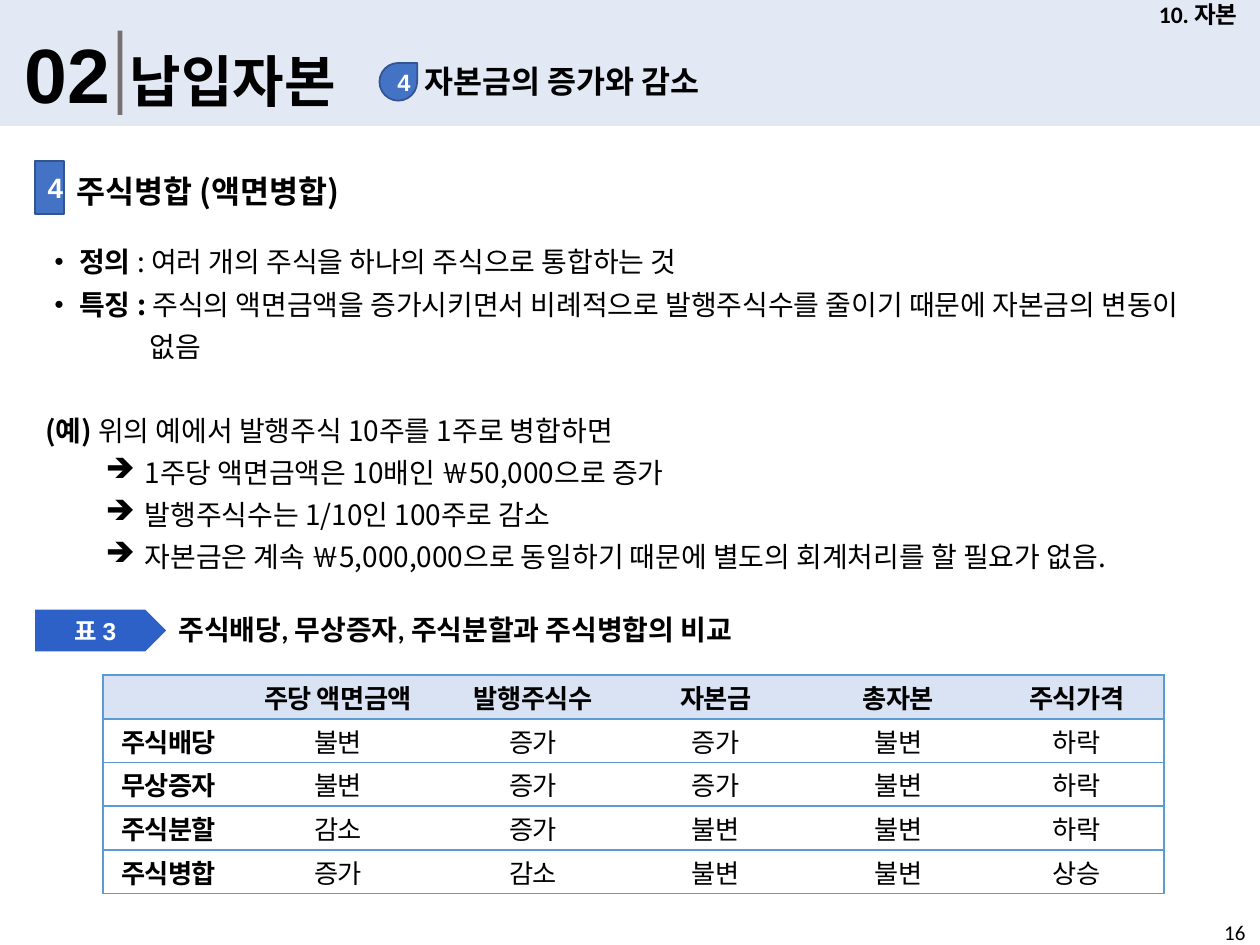
from lxml.etree import SubElement
from pptx import Presentation
from pptx.dml.color import RGBColor
from pptx.enum.shapes import MSO_SHAPE
from pptx.enum.text import MSO_ANCHOR, MSO_AUTO_SIZE, PP_ALIGN
from pptx.oxml.ns import qn
from pptx.util import Cm, Pt

BLACK, WHITE, PALE, BLUE = "000000", "FFFFFF", "DAE3F3", "4472C4"
EDGE, GRID, SIGN, GRAY = "325491", "5B9BD5", "2D61C8", "767171"
KOREAN = "Noto Sans CJK KR"

LABELS = [
    ("02", (0.25, 0.41, 2.31, 2.13), 44, "Arial", True),
    ("자본금의 증가와 감소", (8.31, 1.12, 10.24, 1.02), 18, "Calibri", True),
    ("16", (24.43, 18.42, 0.97, 1.02), 12, "Calibri", False),
    ("주식병합 (액면병합)", (1.3, 3.35, 10.44, 1.52), 18, KOREAN, True),
    ("주식배당, 무상증자, 주식분할과 주식병합의 비교", (3.35, 12.22, 17.15, 0.94), 16, "Calibri", True),
]
BADGES = [
    (MSO_SHAPE.TEAR, (7.65, 1.27, 0.76, 0.76), BLUE, EDGE, [("4", 13.5, "Arial")]),
    (MSO_SHAPE.RECTANGLE, (0.71, 3.25, 0.58, 1.07), BLUE, EDGE, [("4", 16, "Arial")]),
    (MSO_SHAPE.PENTAGON, (0.71, 12.29, 2.64, 0.84), SIGN, None,
     [("표 ", 14, "Calibri"), ("3", 14, "Arial")]),
]
BODY = [
    ("hanging", "• 정의 ", ": 여러 개의 주식을 하나의 주식으로 통합하는 것"),
    ("hanging", "• 특징 : ", "주식의 액면금액을 증가시키면서 비례적으로 발행주식수를 줄이기 때문에 자본금의 변동이 없음"),
    ("example", "(예) ", "위의 예에서 발행주식 10주를 1주로 병합하면"),
    ("arrow", "", "1주당 액면금액은 10배인 ￦50,000으로 증가"),
    ("arrow", "", "발행주식수는 1/10인 100주로 감소"),
    ("arrow", "", "자본금은 계속 ￦5,000,000으로 동일하기 때문에 별도의 회계처리를 할 필요가 없음."),
]
INDENTS = {"hanging": (2.11, -2.11), "arrow": (2.01, -0.79)}
COMPARISON = [
    ("", "주당 액면금액", "발행주식수", "자본금", "총자본", "주식가격"),
    ("주식배당", "불변", "증가", "증가", "불변", "하락"),
    ("무상증자", "불변", "증가", "증가", "불변", "하락"),
    ("주식분할", "감소", "증가", "불변", "불변", "하락"),
    ("주식병합", "증가", "감소", "불변", "불변", "상승"),
]
COLUMN_WIDTHS = [2.64, 4.19, 3.68, 3.68, 3.68, 3.51]
ROW_HEIGHT = 0.88


def paint(color_format, color):
    color_format.rgb = RGBColor.from_string(color)


def add_run(paragraph, text, size, font, bold, color=BLACK):
    run = paragraph.add_run()
    run.text = text
    run.font.size, run.font.name, run.font.bold = Pt(size), font, bold
    paint(run.font.color, color)
    return run


def add_block(slide, preset, place, fill, edge=None):
    block = slide.shapes.add_shape(preset, *map(Cm, place))
    block.shadow.inherit = False
    block.fill.solid()
    paint(block.fill.fore_color, fill)
    if edge:
        paint(block.line.color, edge)
        block.line.width = Pt(1)
    else:
        block.line.fill.background()
    return block


def add_frame(slide, place):
    frame = slide.shapes.add_textbox(*map(Cm, place)).text_frame
    frame.word_wrap = True
    return frame


def add_header(slide):
    band = add_block(slide, MSO_SHAPE.RECTANGLE, (0, 0, 25.4, 2.54), PALE)
    tint = band.fill._xPr.find(".//" + qn("a:srgbClr"))
    SubElement(tint, qn("a:alpha"), val="76000")
    title = slide.shapes.title
    band._element.addnext(title._element)
    title.left, title.top, title.width, title.height = map(Cm, (2.36, 0.81, 11.15, 1.63))
    frame = title.text_frame
    frame.auto_size, frame.vertical_anchor = MSO_AUTO_SIZE.NONE, MSO_ANCHOR.TOP
    frame.paragraphs[0].alignment = PP_ALIGN.LEFT
    add_run(frame.paragraphs[0], "납입자본", 32, "Calibri", True)
    add_block(slide, MSO_SHAPE.RECTANGLE, (2.37, 0.62, 0.1, 1.7), GRAY)
    chapter = add_frame(slide, (22.91, 0, 2.49, 0.58))
    chapter.vertical_anchor = MSO_ANCHOR.MIDDLE
    chapter.paragraphs[0].alignment = PP_ALIGN.CENTER
    add_run(chapter.paragraphs[0], "10. 자본", 13.5, "Calibri", True)


def add_body(slide):
    frame = add_frame(slide, (0.71, 4.67, 24, 6.76))
    frame.margin_left = frame.margin_right = Cm(0.2)
    frame.margin_top = frame.margin_bottom = Cm(0.1)
    for index, (kind, lead, text) in enumerate(BODY):
        paragraph = frame.add_paragraph() if index else frame.paragraphs[0]
        properties = paragraph._p.get_or_add_pPr()
        if kind in INDENTS:
            margin, indent = INDENTS[kind]
            properties.set("marL", str(Cm(margin)))
            properties.set("indent", str(Cm(indent)))
        if kind == "arrow":
            SubElement(properties, qn("a:buChar"), char="➔")
        paragraph.line_spacing = Pt(24)
        if kind == "example":
            paragraph.space_before = Pt(24)
        if lead:
            add_run(paragraph, lead, 16, KOREAN, True)
        add_run(paragraph, text, 16, KOREAN, False)


def set_borders(cell, visible):
    properties = cell._tc.get_or_add_tcPr()
    for position, side in enumerate("LRTB"):
        border = SubElement(properties, qn(f"a:ln{side}"), w=str(Pt(1)))
        if side in visible:
            solid = SubElement(border, qn("a:solidFill"))
            SubElement(solid, qn("a:srgbClr"), val=GRID)
        else:
            SubElement(border, qn("a:noFill"))


def add_comparison(slide):
    row_count, column_count = len(COMPARISON), len(COLUMN_WIDTHS)
    table = slide.shapes.add_table(
        row_count, column_count, Cm(2.08), Cm(13.61),
        Cm(sum(COLUMN_WIDTHS)), Cm(ROW_HEIGHT * row_count)).table
    table.horz_banding = False
    for column, width in zip(table.columns, COLUMN_WIDTHS):
        column.width = Cm(width)
    for r, values in enumerate(COMPARISON):
        table.rows[r].height = Cm(ROW_HEIGHT)
        for c, value in enumerate(values):
            cell = table.cell(r, c)
            ends = {0: "L", column_count - 1: "R"}
            set_borders(cell, "TB" + ends.get(c, ""))
            cell.fill.solid()
            paint(cell.fill.fore_color, WHITE if r else PALE)
            cell.vertical_anchor = MSO_ANCHOR.MIDDLE
            cell.margin_left = cell.margin_right = Cm(0.05)
            cell.margin_top = cell.margin_bottom = Cm(0.05)
            paragraph = cell.text_frame.paragraphs[0]
            paragraph.alignment = PP_ALIGN.CENTER
            if value:
                run = add_run(paragraph, value, 15, "Calibri", r == 0 or c == 0)
                run.font._element.set("spc", "-30")
            else:
                paragraph.font.size = Pt(15)


def main():
    """Build the slide on share consolidation and save it."""
    presentation = Presentation()
    presentation.slide_width, presentation.slide_height = Cm(25.4), Cm(19.05)
    slide = presentation.slides.add_slide(presentation.slide_layouts[5])
    add_header(slide)
    for text, place, size, font, bold in LABELS:
        frame = add_frame(slide, place)
        frame.margin_right = 0
        add_run(frame.paragraphs[0], text, size, font, bold)
    for preset, place, fill, edge, runs in BADGES:
        badge = add_block(slide, preset, place, fill, edge)
        badge.text_frame.vertical_anchor = MSO_ANCHOR.MIDDLE
        paragraph = badge.text_frame.paragraphs[0]
        paragraph.alignment = PP_ALIGN.CENTER
        for text, size, font in runs:
            add_run(paragraph, text, size, font, True, WHITE)
    add_body(slide)
    add_comparison(slide)
    presentation.save("out.pptx")


if __name__ == "__main__":
    main()
